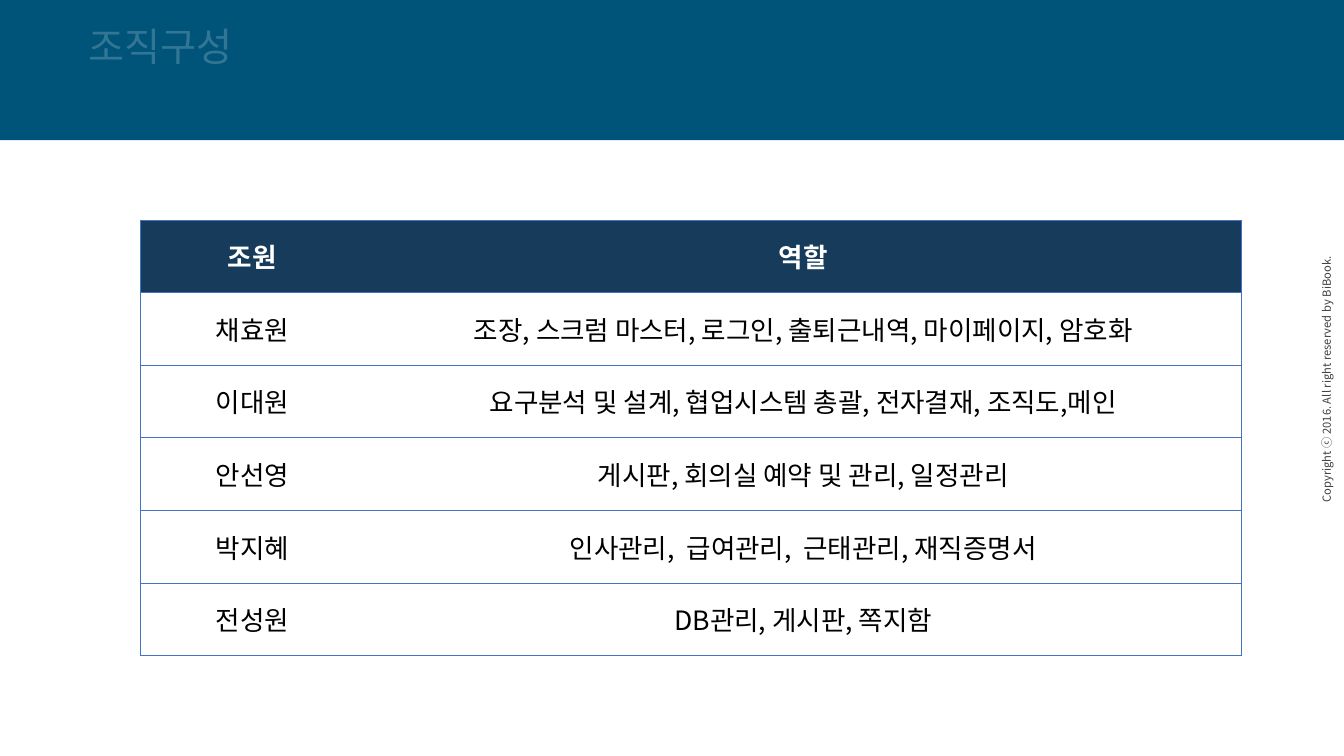
from dataclasses import dataclass

from lxml import etree
from pptx import Presentation
from pptx import util as u
from pptx.dml import color
from pptx.enum import shapes, text
from pptx.oxml import ns


@dataclass(frozen=True)
class Theme:
    font: str = "Noto Sans CJK KR"
    band: str = "00547A"
    header: str = "173B5A"
    border: str = "4472C4"
    light: str = "FFFFFF"
    dark: str = "000000"
    muted: str = "404040"
    title_size: float = 28
    table_size: float = 19
    copyright_size: float = 8
    border_width: float = 0.5
    title_opacity: int = 20
    plain_table: str = "{2D5ABB26-0587-4C30-8999-92F81FD0307C}"


@dataclass(frozen=True)
class Member:
    name: str
    duties: str


THEME = Theme()
HEADING = Member("조원", "역할")
MEMBERS = [
    Member("채효원", "조장, 스크럼 마스터, 로그인, 출퇴근내역, 마이페이지, 암호화"),
    Member("이대원", "요구분석 및 설계, 협업시스템 총괄, 전자결재, 조직도,메인"),
    Member("안선영", "게시판, 회의실 예약 및 관리, 일정관리"),
    Member("박지혜", "인사관리,  급여관리,  근태관리, 재직증명서"),
    Member("전성원", "DB관리, 게시판, 쪽지함"),
]
COLUMN_WIDTHS = (5.66, 22.1)
ROW_HEIGHT = 1.83


def rgb(value: str) -> color.RGBColor:
    return color.RGBColor.from_string(value)


def sub(parent, tag: str, **attributes: str):
    return etree.SubElement(parent, ns.qn(tag), attributes)


def write(paragraph, words: str, size: float, ink: str, bold: bool = False):
    """Add one run and return it."""
    run = paragraph.add_run()
    run.text = words
    run.font.size = u.Pt(size)
    run.font.bold = bold
    run.font.color.rgb = rgb(ink)
    run.font.name = THEME.font
    sub(run.font._element, "a:ea", typeface=THEME.font)
    return run


def draw_border(cell, side: str, visible: bool) -> None:
    line = sub(cell._tc.get_or_add_tcPr(), f"a:ln{side}",
               w=str(u.Pt(THEME.border_width)))
    if visible:
        sub(sub(line, "a:solidFill"), "a:srgbClr", val=THEME.border)
    else:
        sub(line, "a:noFill")


def fill_row(table, row: int, member: Member) -> None:
    is_header = row == 0
    last = len(COLUMN_WIDTHS) - 1
    for column, words in enumerate((member.name, member.duties)):
        cell = table.cell(row, column)
        cell.vertical_anchor = text.MSO_ANCHOR.MIDDLE
        # Frame and row rules, with no line between the columns
        for side, visible in (("L", column == 0), ("R", column == last),
                              ("T", True), ("B", True)):
            draw_border(cell, side, visible)
        if is_header:
            cell.fill.solid()
            cell.fill.fore_color.rgb = rgb(THEME.header)
        else:
            cell.fill.background()
        paragraph = cell.text_frame.paragraphs[0]
        paragraph.alignment = text.PP_ALIGN.CENTER
        write(paragraph, words, THEME.table_size,
              THEME.light if is_header else THEME.dark, is_header)


def add_band(slide, width: int) -> None:
    band = slide.shapes.add_shape(shapes.MSO_SHAPE.RECTANGLE, 0, 0, width, u.Cm(3.53))
    band.shadow.inherit = False
    band.fill.solid()
    band.fill.fore_color.rgb = rgb(THEME.band)
    band.line.fill.background()
    slide.shapes.element.insert(2, band.element)  # behind the title


def add_title(slide) -> None:
    title = slide.shapes.title
    title.left, title.top = u.Cm(1.98), u.Cm(0.43)
    title.width, title.height = u.Cm(4.27), u.Cm(1.45)
    frame = title.text_frame
    frame.word_wrap = False
    frame.auto_size = text.MSO_AUTO_SIZE.NONE
    frame.vertical_anchor = text.MSO_ANCHOR.TOP
    frame.paragraphs[0].alignment = text.PP_ALIGN.LEFT
    run = write(frame.paragraphs[0], "조직구성", THEME.title_size, THEME.light)
    ink = run.font._element.find(".//" + ns.qn("a:srgbClr"))
    sub(ink, "a:alpha", val=str(THEME.title_opacity * 1000))


def add_copyright(slide) -> None:
    notice = slide.shapes.add_textbox(u.Cm(30.05), u.Cm(9.22), u.Cm(6.78), u.Cm(0.61))
    notice.rotation = 270
    notice.text_frame.word_wrap = False
    write(notice.text_frame.paragraphs[0],
          "Copyright ⓒ 2016. All right reserved by BiBook.",
          THEME.copyright_size, THEME.muted)


def add_roles(slide) -> None:
    rows = [HEADING, *MEMBERS]
    roles = slide.shapes.add_table(
        len(rows), len(COLUMN_WIDTHS), u.Cm(3.53), u.Cm(5.54),
        u.Cm(sum(COLUMN_WIDTHS)), u.Cm(ROW_HEIGHT * len(rows))).table
    roles.horz_banding = False
    roles._tbl.tblPr.find(ns.qn("a:tableStyleId")).text = THEME.plain_table
    for column, width in zip(roles.columns, COLUMN_WIDTHS):
        column.width = u.Cm(width)
    for index, member in enumerate(rows):
        roles.rows[index].height = u.Cm(ROW_HEIGHT)
        fill_row(roles, index, member)


def main() -> None:
    deck = Presentation()
    deck.slide_width, deck.slide_height = u.Cm(33.87), u.Cm(19.05)
    slide = deck.slides.add_slide(deck.slide_layouts[5])

    # Heading
    add_band(slide, deck.slide_width)
    add_title(slide)

    # Side notice and table of roles
    add_copyright(slide)
    add_roles(slide)

    deck.save("out.pptx")


if __name__ == "__main__":
    main()
